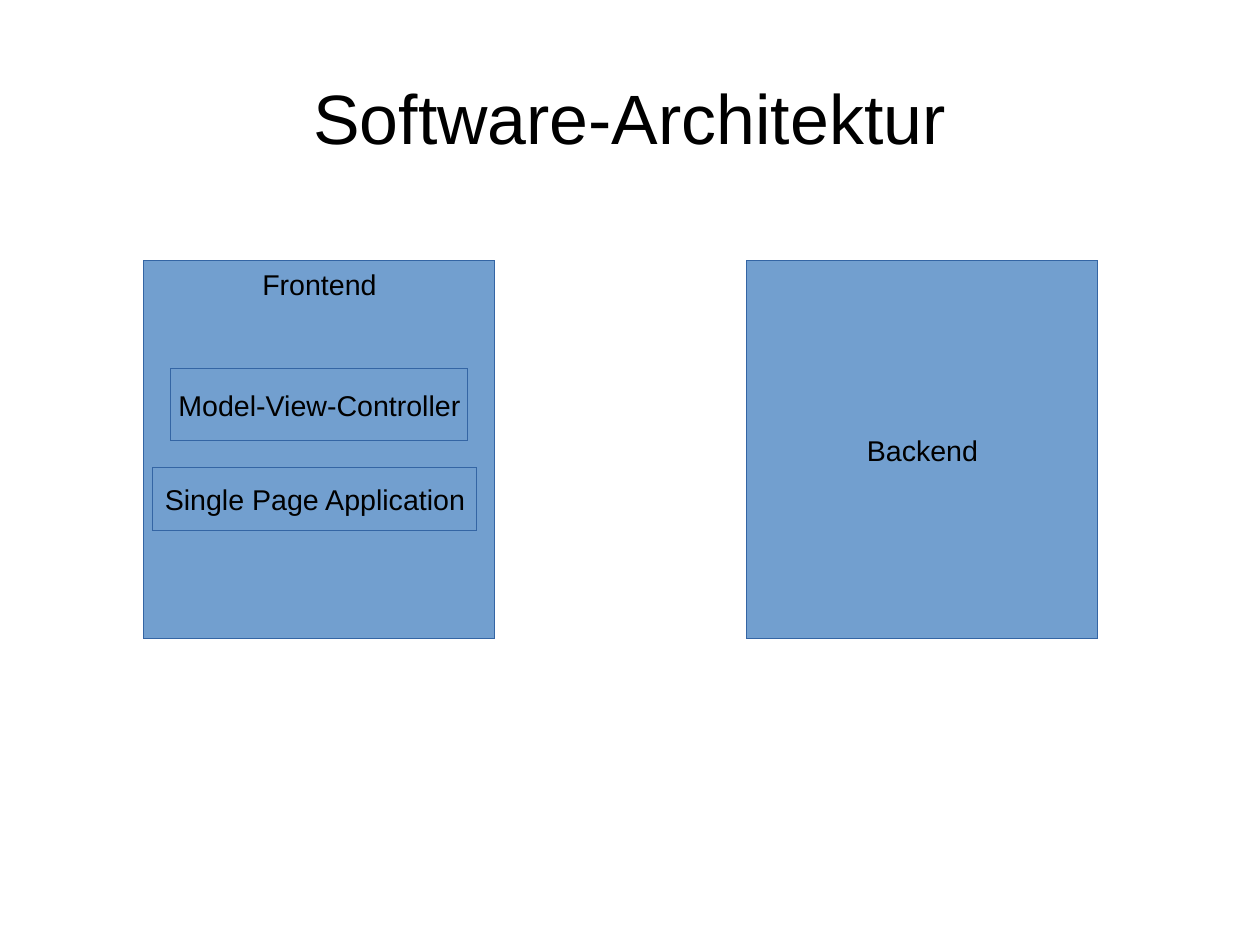
from dataclasses import dataclass

from pptx import Presentation
from pptx.dml.color import RGBColor
from pptx.enum.shapes import MSO_SHAPE
from pptx.enum.text import MSO_ANCHOR, PP_ALIGN
from pptx.util import Cm, Emu, Pt

RECT = MSO_SHAPE.RECTANGLE
TOP, MIDDLE = MSO_ANCHOR.TOP, MSO_ANCHOR.MIDDLE
CENTER = PP_ALIGN.CENTER

COLS, ROWS = 28, 21
WIDTH, HEIGHT = Cm(COLS), Cm(ROWS)
FONT = "Arial"
BLACK, BLUE, EDGE = "000000", "729FCF", "3465A4"
HAIR = Emu(1)  # thinnest line; a width of zero is not stored
TITLE_ONLY = 5


@dataclass
class Box:
    """A labelled box, measured in grid columns and rows."""
    text: str
    col: float
    row: float
    wide: float
    high: float
    anchor: MSO_ANCHOR = MIDDLE
    size: int = 18


TITLE = Box("Software-Architektur", 1.4, 0.84, 25.2, 3.5, size=44)

# Tiers first, then the patterns lying on the frontend
BOXES = [
    Box("Frontend", 3.2, 5.8, 7.8, 8.4, TOP),
    Box("Backend", 16.6, 5.8, 7.8, 8.4),
    Box("Model-View-Controller", 3.8, 8.2, 6.6, 1.6),
    Box("Single Page Application", 3.4, 10.4, 7.2, 1.4),
]


def color(code: str) -> RGBColor:
    return RGBColor.from_string(code)


def place(box: Box) -> tuple[int, int, int, int]:
    """Turn grid columns and rows into slide lengths."""
    x, y = WIDTH / COLS, HEIGHT / ROWS
    return (round(box.col * x), round(box.row * y),
            round(box.wide * x), round(box.high * y))


def write(shape, box: Box) -> None:
    """Set the centred label of a shape."""
    frame = shape.text_frame
    frame.text = box.text
    frame.vertical_anchor = box.anchor
    para = frame.paragraphs[0]
    para.alignment = CENTER
    font = para.runs[0].font
    font.name, font.size = FONT, Pt(box.size)
    font.color.rgb = color(BLACK)


def draw_title(slide, box: Box) -> None:
    title = slide.shapes.title
    title.left, title.top, title.width, title.height = place(box)
    write(title, box)
    frame = title.text_frame
    frame.margin_left = frame.margin_right = 0
    frame.margin_top = frame.margin_bottom = 0


def draw_box(slide, box: Box) -> None:
    shape = slide.shapes.add_shape(RECT, *place(box))
    shape.shadow.inherit = False
    shape.fill.solid()
    shape.fill.fore_color.rgb = color(BLUE)
    shape.line.color.rgb = color(EDGE)
    shape.line.width = HAIR
    write(shape, box)
    shape.text_frame.word_wrap = False


def main() -> None:
    deck = Presentation()
    deck.slide_width, deck.slide_height = WIDTH, HEIGHT
    slide = deck.slides.add_slide(deck.slide_layouts[TITLE_ONLY])
    draw_title(slide, TITLE)
    for box in BOXES:
        draw_box(slide, box)
    deck.save("out.pptx")


if __name__ == "__main__":
    main()
